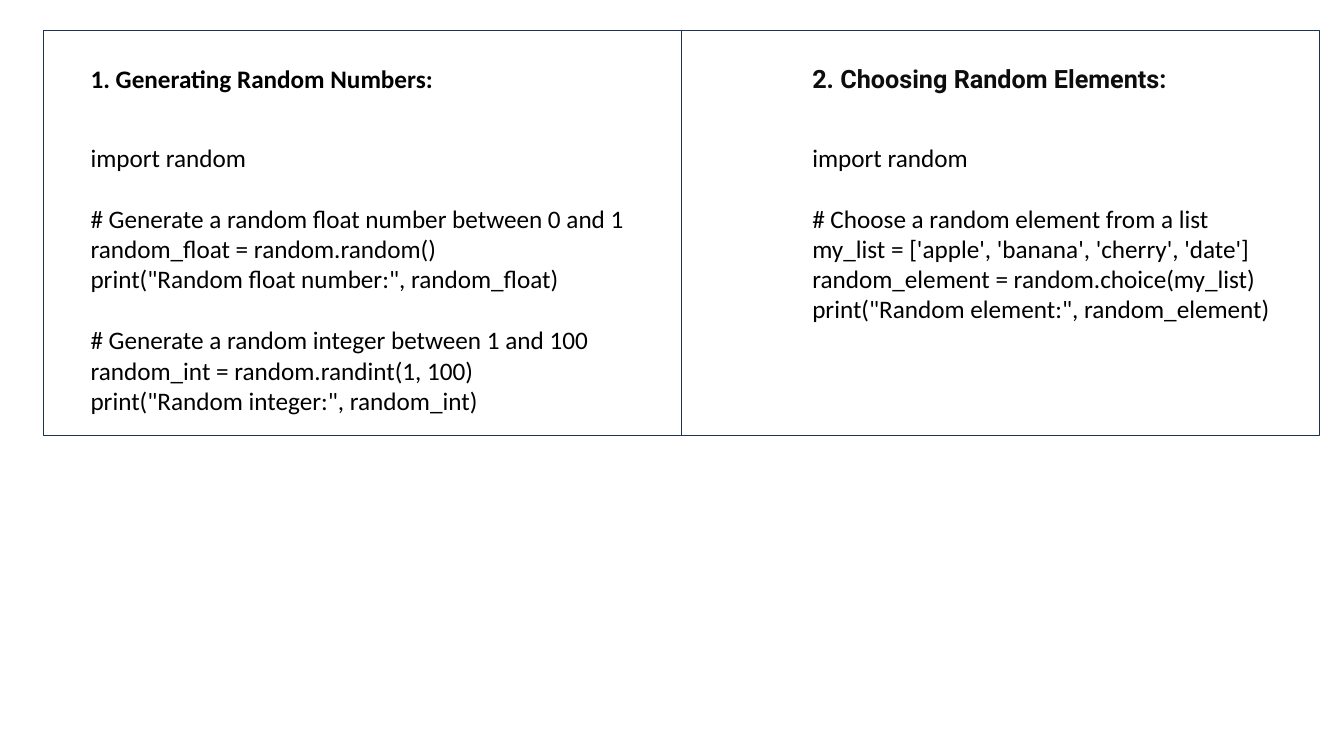
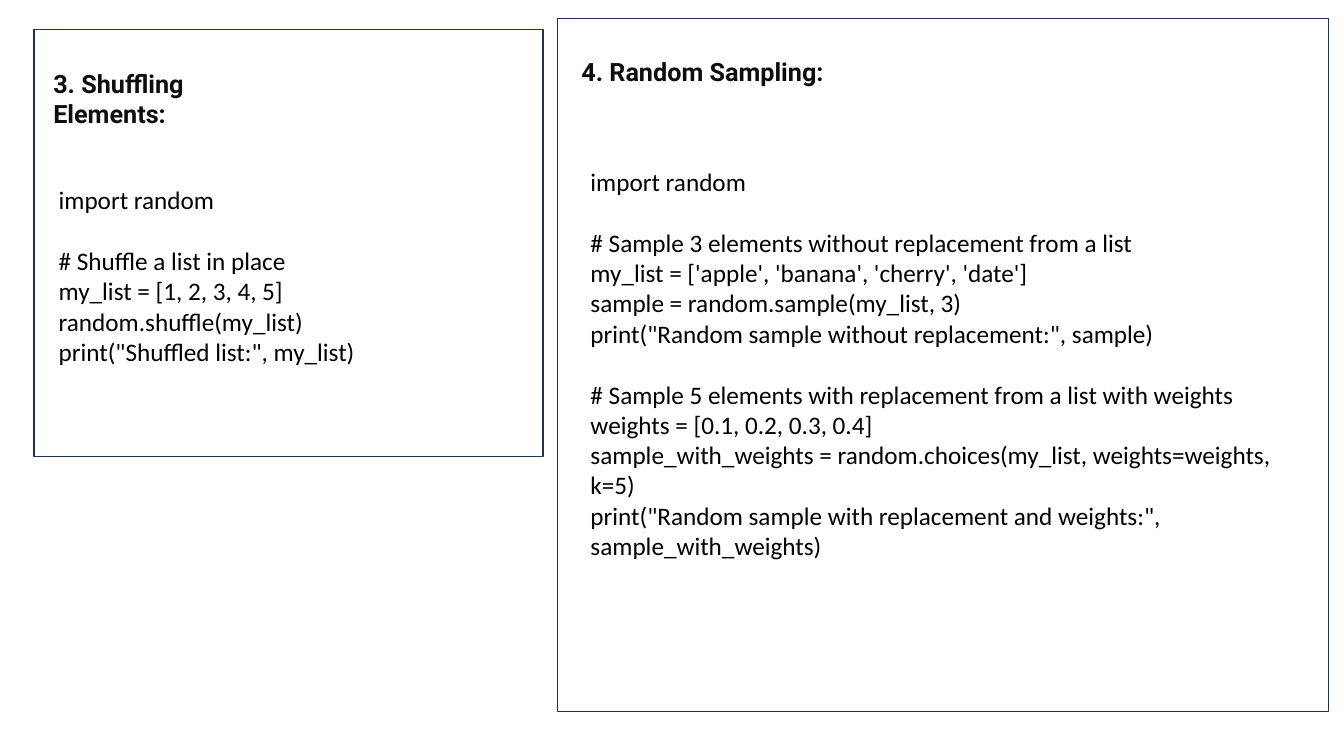
"""Build two slides of framed code examples for the random module."""
from dataclasses import dataclass

from pptx import Presentation
from pptx.dml.color import RGBColor
from pptx.enum.shapes import MSO_SHAPE
from pptx.enum.text import MSO_AUTO_SIZE
from pptx.slide import Slide
from pptx.util import Pt


@dataclass(frozen=True)
class Theme:
    frame: RGBColor = RGBColor(0x1E, 0x32, 0x56)
    code: RGBColor = RGBColor(0x00, 0x00, 0x00)
    heading: RGBColor = RGBColor(0x0D, 0x0D, 0x0D)
    code_font: str = "Calibri"
    heading_font: str = "Roboto"
    size: float = 18
    line_width: float = 1
    block_gap: float = 22


@dataclass(frozen=True)
class Box:
    left: float
    top: float
    width: float
    height: float

    def lengths(self) -> tuple[Pt, ...]:
        return tuple(Pt(v) for v in (self.left, self.top, self.width, self.height))


@dataclass(frozen=True)
class Panel:
    heading: str
    frame: Box
    heading_box: Box
    code_box: Box
    code: str
    heading_font: str = Theme.heading_font
    heading_color: RGBColor = Theme.heading


THEME = Theme()
FRAME_LEFT, FRAME_TOP, FRAME_WIDTH, FRAME_HEIGHT = 31, 21.6, 455.8, 289.4
HEADING_TOP, CODE_TOP = 41.8, 97.9

SLIDES = (
    (
        Panel(
            "1. Generating Random Numbers:",
            Box(FRAME_LEFT, FRAME_TOP, FRAME_WIDTH, FRAME_HEIGHT),
            Box(57.6, HEADING_TOP, 337, 29),
            Box(57.6, CODE_TOP, 419.8, 204),
            """import random

# Generate a random float number between 0 and 1
random_float = random.random()
print("Random float number:", random_float)

# Generate a random integer between 1 and 100
random_int = random.randint(1, 100)
print("Random integer:", random_int)""",
            THEME.code_font,
            THEME.code,
        ),
        Panel(
            "2. Choosing Random Elements:",
            Box(FRAME_LEFT + FRAME_WIDTH, FRAME_TOP, FRAME_WIDTH, FRAME_HEIGHT),
            Box(573.1, HEADING_TOP, 354.2, 29),
            Box(573.1, CODE_TOP, 370, 138),
            """import random

# Choose a random element from a list
my_list = ['apple', 'banana', 'cherry', 'date']
random_element = random.choice(my_list)
print("Random element:", random_element)""",
        ),
    ),
    (
        Panel(
            "3. Shuffling Elements:",
            Box(24.2, 20.9, 363.6, 305.3),
            Box(31, 45.4, 180, 50),
            Box(34.8, 128.2, 320.4, 138),
            """import random

# Shuffle a list in place
my_list = [1, 2, 3, 4, 5]
random.shuffle(my_list)
print("Shuffled list:", my_list)""",
        ),
        Panel(
            "4. Random Sampling:",
            Box(398.2, 13, 550.8, 495.4),
            Box(408.2, 36.7, 272.9, 29),
            Box(414.7, 115.2, 527.8, 291),
            """import random

# Sample 3 elements without replacement from a list
my_list = ['apple', 'banana', 'cherry', 'date']
sample = random.sample(my_list, 3)
print("Random sample without replacement:", sample)

# Sample 5 elements with replacement from a list with weights
weights = [0.1, 0.2, 0.3, 0.4]
sample_with_weights = random.choices(my_list, weights=weights, k=5)
print("Random sample with replacement and weights:", sample_with_weights)""",
        ),
    ),
)


def add_frame(s: Slide, box: Box) -> None:
    sp = s.shapes.add_shape(MSO_SHAPE.RECTANGLE, *box.lengths())
    sp.shadow.inherit = False
    sp.fill.background()
    sp.line.color.rgb = THEME.frame
    sp.line.width = Pt(THEME.line_width)


def add_text(s: Slide, box: Box, text: str, font: str, color: RGBColor, bold: bool = False) -> None:
    tf = s.shapes.add_textbox(*box.lengths()).text_frame
    tf.word_wrap = True
    tf.auto_size = MSO_AUTO_SIZE.SHAPE_TO_FIT_TEXT
    style = {"name": font, "size": Pt(THEME.size), "bold": bold}
    p = tf.paragraphs[0]
    for block_no, block in enumerate(text.split("\n\n")):
        for line_no, line in enumerate(block.splitlines()):
            if block_no or line_no:
                p = tf.add_paragraph()
            if block_no and not line_no:
                p.space_before = Pt(THEME.block_gap)
            r = p.add_run()
            r.text = line
            for key, value in style.items():
                setattr(r.font, key, value)
            r.font.color.rgb = color


def add_panel(s: Slide, panel: Panel) -> None:
    add_frame(s, panel.frame)
    add_text(s, panel.heading_box, panel.heading, panel.heading_font, panel.heading_color, True)
    add_text(s, panel.code_box, panel.code, THEME.code_font, THEME.code)


def main() -> None:
    prs = Presentation()
    prs.slide_width, prs.slide_height = Pt(960), Pt(540)
    for panels in SLIDES:
        s = prs.slides.add_slide(prs.slide_layouts.get_by_name("Blank"))
        for panel in panels:
            add_panel(s, panel)
    prs.save("out.pptx")


if __name__ == "__main__":
    main()
